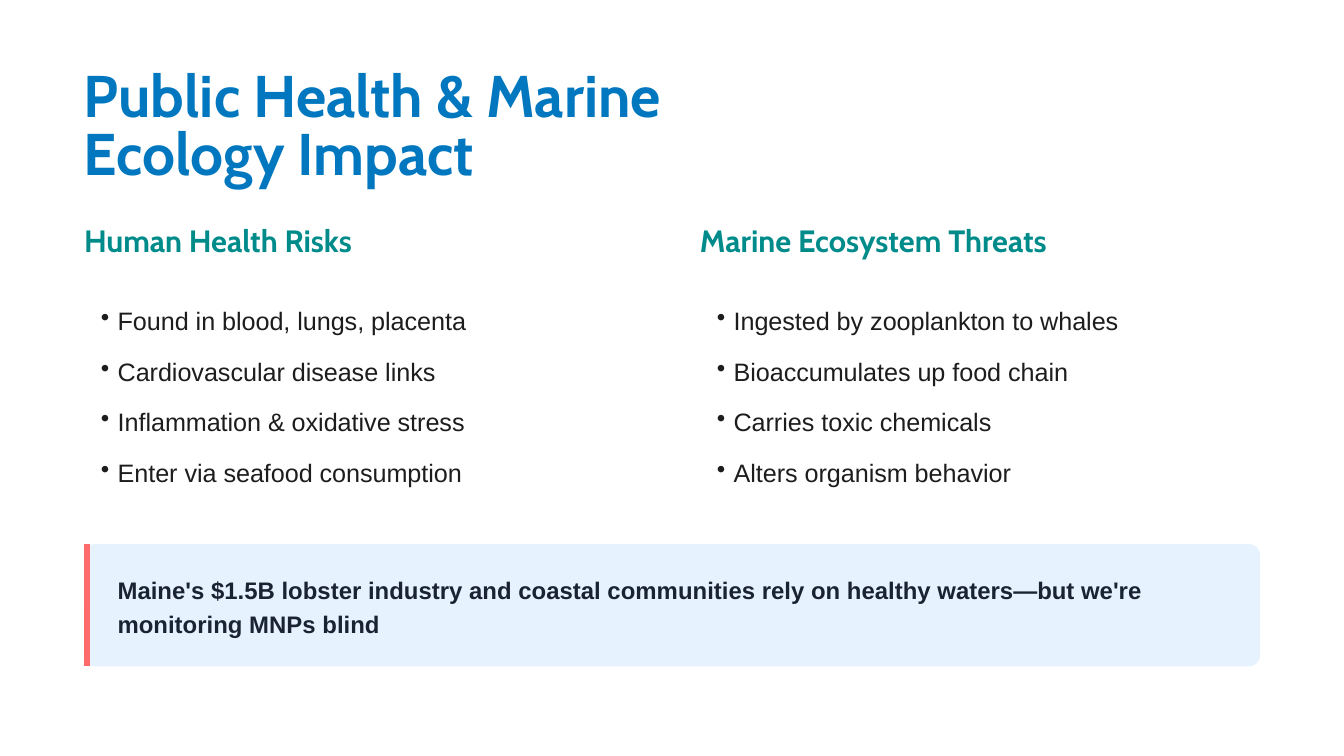
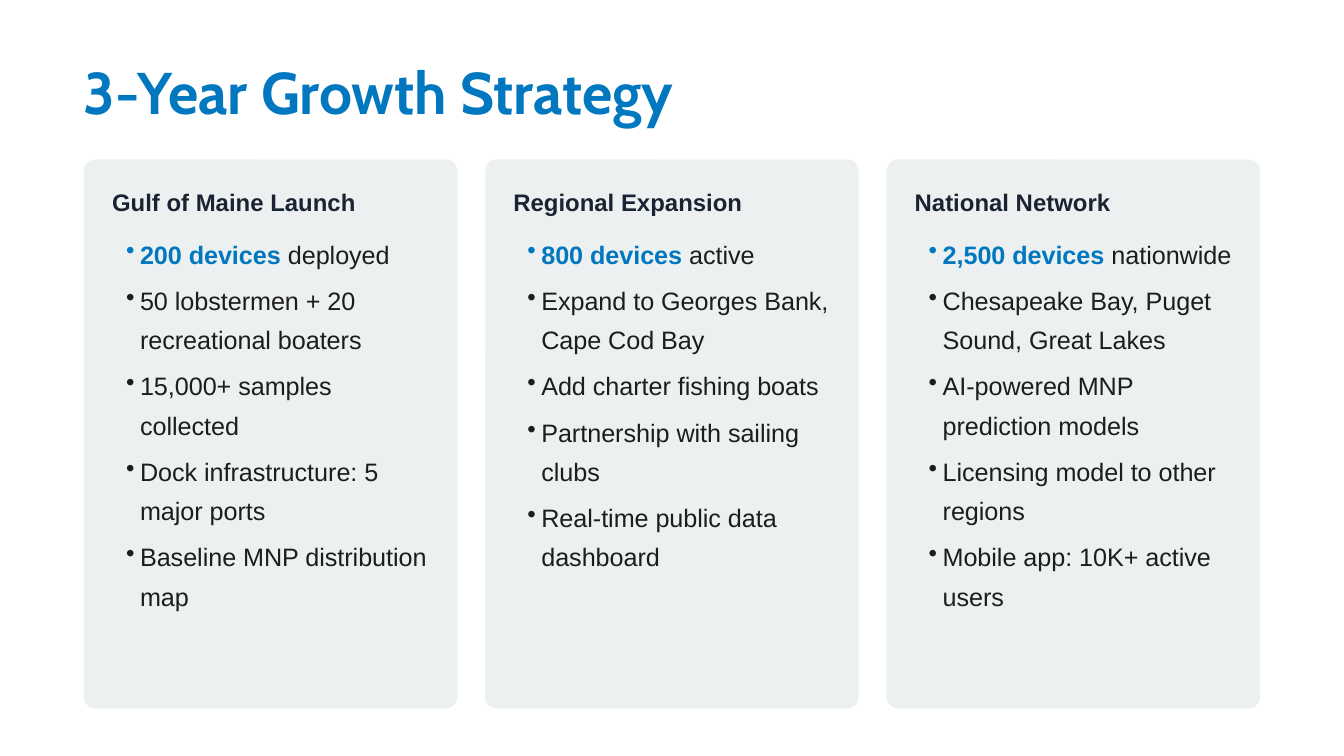
from lxml import etree
from pptx import Presentation
from pptx.dml.color import RGBColor
from pptx.enum.shapes import MSO_CONNECTOR, MSO_SHAPE
from pptx.oxml.ns import qn
from pptx.util import Pt

ROUNDED = MSO_SHAPE.ROUNDED_RECTANGLE
STRAIGHT = MSO_CONNECTOR.STRAIGHT

WHITE = RGBColor(0xFF, 0xFF, 0xFF)
BLUE = RGBColor(0x00, 0x77, 0xBE)
TEAL = RGBColor(0x00, 0x8B, 0x8B)
INK = RGBColor(0x1D, 0x1D, 0x1D)
NAVY = RGBColor(0x1A, 0x23, 0x32)
CORAL = RGBColor(0xFF, 0x6B, 0x6B)
PALE_BLUE = RGBColor(0xE6, 0xF3, 0xFF)
GREY = RGBColor(0xEC, 0xF0, 0xF1)

HEAD_FONT = "Cabin"
BODY_FONT = "Arial"
MARGIN = 45
CONTENT_W = 630

RISKS = [
    ("Human Health Risks", [
        "Found in blood, lungs, placenta",
        "Cardiovascular disease links",
        "Inflammation & oxidative stress",
        "Enter via seafood consumption",
    ]),
    ("Marine Ecosystem Threats", [
        "Ingested by zooplankton to whales",
        "Bioaccumulates up food chain",
        "Carries toxic chemicals",
        "Alters organism behavior",
    ]),
]
CALLOUT = ("Maine's $1.5B lobster industry and coastal communities rely on "
           "healthy waters—but we're monitoring MNPs blind")

PHASES = [
    ("Gulf of Maine Launch", 219.6, [
        ("200 devices", " deployed"),
        "50 lobstermen + 20 recreational boaters",
        "15,000+ samples collected",
        "Dock infrastructure: 5 major ports",
        "Baseline MNP distribution map",
    ]),
    ("Regional Expansion", 198.6, [
        ("800 devices", " active"),
        "Expand to Georges Bank, Cape Cod Bay",
        "Add charter fishing boats",
        "Partnership with sailing clubs",
        "Real-time public data dashboard",
    ]),
    ("National Network", 240.6, [
        ("2,500 devices", " nationwide"),
        "Chesapeake Bay, Puget Sound, Great Lakes",
        "AI-powered MNP prediction models",
        "Licensing model to other regions",
        "Mobile app: 10K+ active users",
    ]),
]


def style_run(r, size, color, bold=False, font=BODY_FONT):
    """Set the font of one run."""
    r.font.name = font
    r.font.size = Pt(size)
    r.font.bold = bold
    r.font.color.rgb = color


def add_frame(s, x, y, w, h, inset=0):
    """Add a wrapping text box and return its text frame."""
    tf = s.shapes.add_textbox(Pt(x), Pt(y), Pt(w), Pt(h)).text_frame
    tf.word_wrap = True
    tf.margin_left = Pt(inset)
    tf.margin_top = tf.margin_right = tf.margin_bottom = 0
    return tf


def add_text(s, text, x, y, w, h, size, color, spacing, after=0, font=BODY_FONT):
    """Add one bold paragraph with exact line spacing."""
    tf = add_frame(s, x, y, w, h)
    tf.text = text
    p = tf.paragraphs[0]
    p.line_spacing = Pt(spacing)
    p.space_after = Pt(after)
    style_run(p.runs[0], size, color, True, font)


def add_title(s, text, y, w, h):
    """Add the slide title."""
    add_text(s, text, MARGIN, y, w, h, 31.5, BLUE, 31.5, 18, HEAD_FONT)


def add_bullets(s, items, x, y, w, h, indent, after):
    """Add a bulleted list; a pair is a highlighted start and its rest."""
    tf = add_frame(s, x, y, w, h, indent)
    for i, item in enumerate(items):
        p = tf.paragraphs[0] if i == 0 else tf.add_paragraph()
        p.line_spacing = Pt(21)
        p.space_after = Pt(after)
        if isinstance(item, tuple):
            p.text, rest = item
            style_run(p.runs[0], 13.5, BLUE, True)
            r = p.add_run()
            r.text = rest
            style_run(r, 13.5, INK)
        else:
            p.text = item
            style_run(p.runs[0], 13.5, INK)
        pPr = p._p.get_or_add_pPr()
        pPr.set("marL", str(Pt(indent)))
        pPr.set("indent", str(-Pt(indent)))
        etree.SubElement(pPr, qn("a:buChar")).set("char", "•")


def add_panel(s, x, y, w, h, color, radius):
    """Add a borderless rounded rectangle."""
    sp = s.shapes.add_shape(ROUNDED, Pt(x), Pt(y), Pt(w), Pt(h))
    sp.adjustments[0] = radius
    sp.shadow.inherit = False
    sp.fill.solid()
    sp.fill.fore_color.rgb = color
    sp.line.fill.background()


def add_accent(s, x, top, bottom):
    """Add a vertical accent line."""
    line = s.shapes.add_connector(STRAIGHT, Pt(x), Pt(top), Pt(x), Pt(bottom))
    line.line.color.rgb = CORAL
    line.line.width = Pt(3)
    etree.SubElement(line._element.spPr, qn("a:effectLst"))


def add_slide(prs):
    """Add a blank white slide."""
    s = prs.slides.add_slide(prs.slide_layouts[6])
    s.background.fill.solid()
    s.background.fill.fore_color.rgb = WHITE
    return s


def build_impact(prs):
    """Build the health and ecology slide."""
    s = add_slide(prs)
    add_title(s, "Public Health & Marine Ecology Impact", 37.5, 412.5, 63)
    for i, (heading, items) in enumerate(RISKS):
        x = MARGIN + i * 330
        add_text(s, heading, x, 118.8, 306, 19.8, 16.5, TEAL, 19.8, 9, HEAD_FONT)
        add_bullets(s, items, x, 159, 300, 117, 9, 6)
    top, height = 291.5, 65.5
    add_panel(s, MARGIN, top, CONTENT_W, height, PALE_BLUE, 0.09)
    add_accent(s, MARGIN + 1.5, top, top + height)
    add_text(s, CALLOUT, MARGIN + 18, 306, 609, 36, 12.8, NAVY, 17.9)


def build_strategy(prs):
    """Build the growth strategy slide."""
    s = add_slide(prs)
    add_title(s, "3-Year Growth Strategy", 36, 423.5, 31.5)
    gap, pad, top = 15, 15, 85.5
    width = (CONTENT_W - gap * (len(PHASES) - 1)) / len(PHASES)
    for i, (heading, height, items) in enumerate(PHASES):
        x = MARGIN + i * (width + gap)
        add_panel(s, x, top, width, 294, GREY, 0.03)
        add_text(s, heading, x + pad, top + pad, 173.5, 15.3, 12.8, NAVY, 15.3, 7.5)
        add_bullets(s, items, x + pad, 123.2, 170, height, 7.5, 3.8)


def main():
    """Build and save the deck."""
    prs = Presentation()
    prs.slide_width, prs.slide_height = Pt(720), Pt(405)
    build_impact(prs)
    build_strategy(prs)
    prs.save("out.pptx")


if __name__ == "__main__":
    main()
